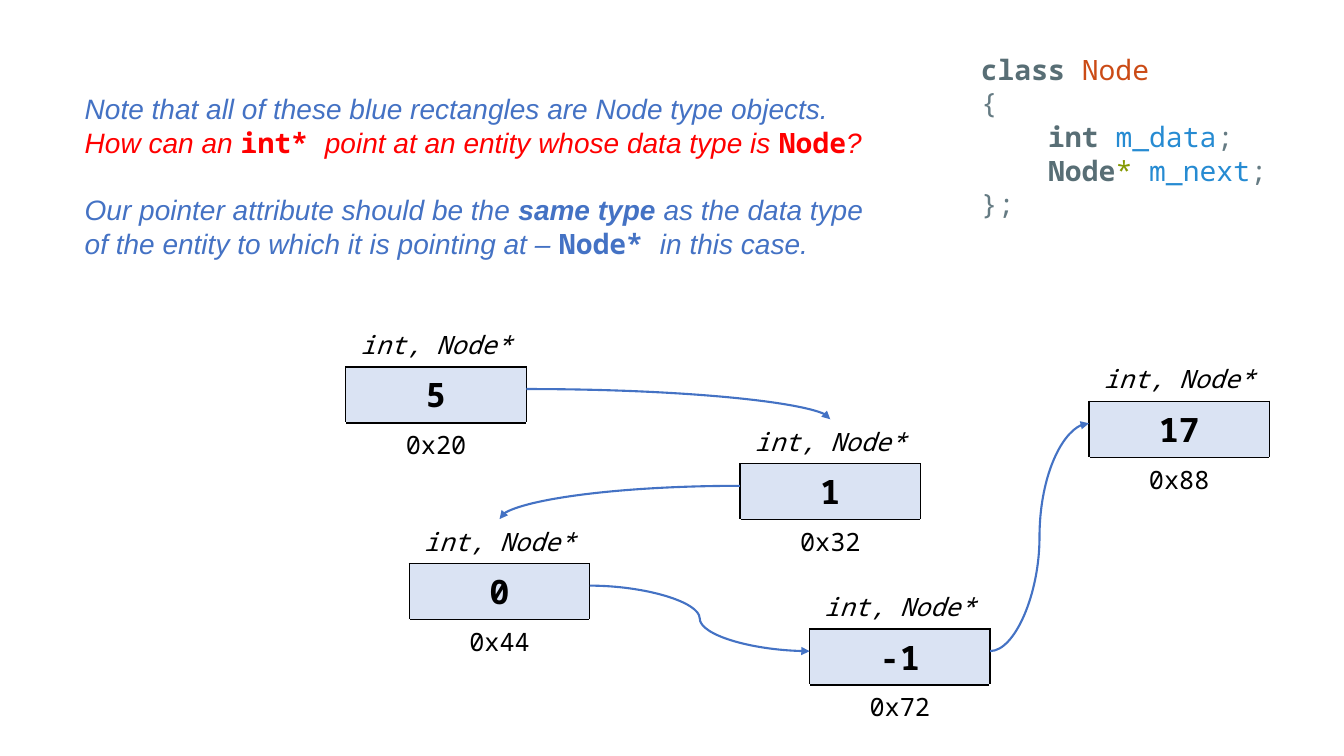
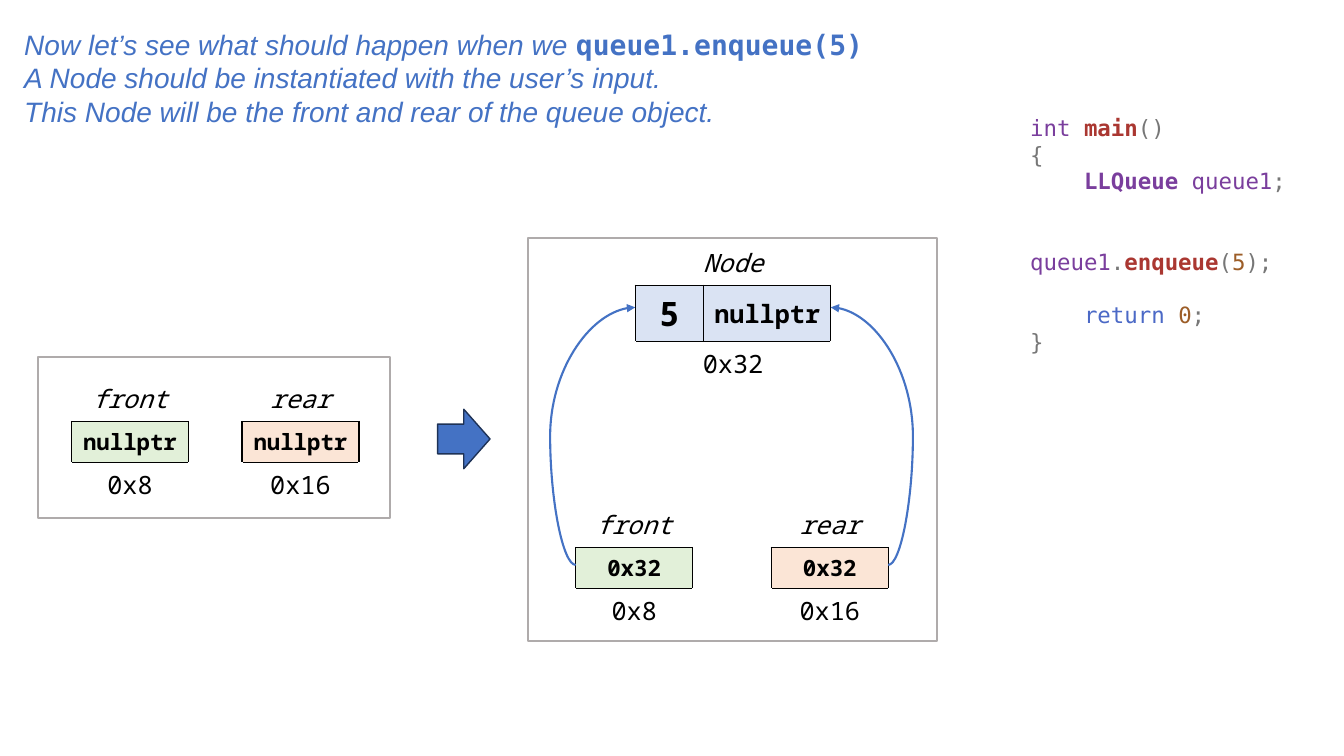
import pptx
import pptx.dml.color
import pptx.enum.shapes
import pptx.enum.text
import pptx.oxml
import pptx.oxml.ns
import pptx.util

inches = pptx.util.Inches
points = pptx.util.Pt
PRESET = pptx.enum.shapes.MSO_SHAPE
ALIGN = pptx.enum.text.PP_ALIGN
ANCHOR = pptx.enum.text.MSO_ANCHOR

BLUE, RED, BLACK = "4472C4", "FF0000", "000000"
NODE_FILL, FRONT_FILL, REAR_FILL = "DAE3F3", "E2F0D9", "FBE5D6"
FRAME, ARROW_EDGE = "AFABAB", "1E3256"
SANS, MONO, CODE = "Arial", "Noto Sans Mono", "DejaVu Sans Mono"

# Style: font, colour, bold, italic
STYLES = {
    "note": (SANS, BLUE, False, True),
    "strong": (SANS, BLUE, True, True),
    "term": (MONO, BLUE, True, False),
    "call": (CODE, BLUE, True, False),
    "question": (SANS, RED, False, True),
    "asked": (MONO, RED, True, False),
    "label": (MONO, BLACK, False, True),
    "value": (MONO, BLACK, True, False),
    "address": (MONO, BLACK, False, False),
    "keyword": (MONO, "586E75", True, False),
    "class": (MONO, "CB4B16", False, False),
    "mark": (MONO, "657B83", False, False),
    "member": (MONO, "268BD2", False, False),
    "star": (MONO, "859900", False, False),
    "name": (CODE, "7A3E9D", False, False),
    "type": (CODE, "7A3E9D", True, False),
    "function": (CODE, "AA3731", True, False),
    "sign": (CODE, "777777", False, False),
    "number": (CODE, "9C5D27", False, False),
    "control": (CODE, "4B69C6", False, False),
}

# Each paragraph: space before in points, then its (text, style) runs
POINTER_NOTE = [
    (0, [("Note that all of these blue rectangles are Node type objects.", "note")]),
    (0, [("How can an ", "question"), ("int* ", "asked"),
         ("point at an entity whose data type is ", "question"),
         ("Node", "asked"), ("?", "question")]),
    (24, [("Our pointer attribute should be the ", "note"), ("same type ", "strong"),
          ("as the data type of the entity to which it is pointing at – ", "note"),
          ("Node* ", "term"), ("in this case.", "note")]),
]
NODE_CLASS = [
    (0, [("class ", "keyword"), ("Node", "class")]),
    (0, [("{", "mark")]),
    (0, [("    int ", "keyword"), ("m_data", "member"), (";", "mark")]),
    (0, [("    Node", "keyword"), ("* ", "star"), ("m_next", "member"), (";", "mark")]),
    (0, [("};", "mark")]),
]
ENQUEUE_NOTE = [
    (0, [("Now let’s see what should happen when we ", "note"),
         ("queue1.enqueue(5)", "call")]),
    (0, [("A Node should be instantiated with the user’s input.", "note")]),
    (0, [("This Node will be the front and rear of the queue object.", "note")]),
]
MAIN_CODE = [
    (0, [("int ", "name"), ("main", "function"), ("()", "sign")]),
    (0, [("{", "sign")]),
    (0, [("    LLQueue ", "type"), ("queue1", "name"), (";", "sign")]),
    (38, [("queue1", "name"), (".", "sign"), ("enqueue", "function"), ("(", "sign"),
          ("5", "number"), (");", "sign")]),
    (19, [("    return ", "control"), ("0", "number"), (";", "sign")]),
    (0, [("}", "sign")]),
]

ROW, NODE_ROW = 0.41, 0.5
NODE_WIDTH, POINTER_WIDTH = 1.79, 1.16

# Address: value, left, top
NODES = {
    "0x20": ("5", 3.43, 3.2),
    "0x32": ("1", 7.34, 4.16),
    "0x44": ("0", 4.06, 5.15),
    "0x72": ("-1", 8.03, 5.8),
    "0x88": ("17", 10.8, 3.54),
}
# From address, side, to address, side
LINKS = [
    ("0x20", "right", "0x32", "top"),
    ("0x32", "left", "0x44", "top"),
    ("0x44", "right", "0x72", "left"),
    ("0x72", "right", "0x88", "left"),
]
FRAMES = [(0.38, 3.54, 3.49, 1.6), (5.24, 2.36, 4.05, 4)]
# Label, address, fill, value and place before, value and place after
POINTERS = [
    ("front", "0x8", FRONT_FILL, ("nullptr", 0.71, 3.74), ("0x32", 5.71, 4.99)),
    ("rear", "0x16", REAR_FILL, ("nullptr", 2.4, 3.74), ("0x32", 7.65, 4.99)),
]


def rgb(code):
    return pptx.dml.color.RGBColor.from_string(code)


def write(paragraph, runs, size):
    for text, style in runs:
        run = paragraph.add_run()
        run.text = text
        font = run.font
        font.name, colour, font.bold, font.italic = STYLES[style]
        font.color.rgb = rgb(colour)
        font.size = points(size)


def fill_text(shape, paragraphs, size):
    frame = shape.text_frame
    frame.word_wrap = True
    frame.auto_size = pptx.enum.text.MSO_AUTO_SIZE.NONE
    frame.vertical_anchor = ANCHOR.TOP
    for index, (before, runs) in enumerate(paragraphs):
        paragraph = frame.add_paragraph() if index else frame.paragraphs[0]
        paragraph.alignment = ALIGN.LEFT
        paragraph.space_before = points(before)
        write(paragraph, runs, size)


def add_slide(deck, note, note_box, code, code_box, code_size):
    slide = deck.slides.add_slide(deck.slide_layouts[5])
    title = slide.shapes.title
    title.left, title.top, title.width, title.height = map(inches, note_box)
    fill_text(title, note, 20)
    fill_text(slide.shapes.add_textbox(*map(inches, code_box)), code, code_size)
    return slide


def set_borders(cell, sides):
    properties = cell._tc.get_or_add_tcPr()
    for index, side in enumerate(sides):
        properties.insert(index, pptx.oxml.parse_xml(
            f'<a:ln{side} {pptx.oxml.ns.nsdecls("a")} w="12700"><a:solidFill>'
            f'<a:srgbClr val="{BLACK}"/></a:solidFill></a:ln{side}>'))


def add_record(slide, left, top, label, values, address, fill, widths,
               value_row=NODE_ROW, anchor=ANCHOR.TOP):
    """Add a label, a bordered row of (text, size) values and an address."""
    heights = [ROW, value_row, ROW]
    table = slide.shapes.add_table(
        3, len(widths), *map(inches, (left, top, sum(widths), sum(heights)))).table
    table.first_row = table.horz_banding = False
    for column, width in zip(table.columns, widths):
        column.width = inches(width)
    for row, height in zip(table.rows, heights):
        row.height = inches(height)
    last = len(widths) - 1
    for row, text, style, side in ((0, label, "label", "B"), (2, address, "address", "T")):
        if last:
            table.cell(row, 0).merge(table.cell(row, last))
        for column in range(last + 1):
            table.cell(row, column).fill.background()
            set_borders(table.cell(row, column), side)
        paragraph = table.cell(row, 0).text_frame.paragraphs[0]
        paragraph.alignment = ALIGN.CENTER
        write(paragraph, [(text, style)], 18)
    for column, (text, size) in enumerate(values):
        cell = table.cell(1, column)
        cell.fill.solid()
        cell.fill.fore_color.rgb = rgb(fill)
        cell.vertical_anchor = anchor
        set_borders(cell, "LRTB")
        paragraph = cell.text_frame.paragraphs[0]
        paragraph.alignment = ALIGN.CENTER
        write(paragraph, [(text, "value")], size)


def port(left, top, width, side, value_row=NODE_ROW):
    """Return the point where an arrow meets a record."""
    middle = top + ROW + value_row / 2
    return {"left": (left, middle), "right": (left + width, middle),
            "top": (left + width / 2, top)}[side]


def add_arrow(slide, start, end, single_bend=False, bend=None):
    arrow = slide.shapes.add_connector(
        pptx.enum.shapes.MSO_CONNECTOR.CURVE, *map(inches, start + end))
    arrow.line.color.rgb = rgb(BLUE)
    arrow.line.width = points(1.5)
    properties = arrow._element.spPr
    namespace = pptx.oxml.ns.nsdecls("a")
    arrow.line._get_or_add_ln().append(
        pptx.oxml.parse_xml(f'<a:tailEnd {namespace} type="triangle"/>'))
    properties.append(pptx.oxml.parse_xml(f"<a:effectLst {namespace}/>"))
    geometry = properties.find(pptx.oxml.ns.qn("a:prstGeom"))
    if single_bend:
        geometry.set("prst", "curvedConnector2")
    if bend is not None:
        geometry.find(pptx.oxml.ns.qn("a:avLst")).append(pptx.oxml.parse_xml(
            f'<a:gd {namespace} name="adj1" fmla="val {round(bend * 100000)}"/>'))


def add_block(slide, preset, box, line, width, fill=None):
    block = slide.shapes.add_shape(preset, *map(inches, box))
    block.shadow.inherit = False
    block.line.color.rgb = rgb(line)
    block.line.width = points(width)
    if fill:
        block.fill.solid()
        block.fill.fore_color.rgb = rgb(fill)
    else:
        block.fill.background()


def build_pointer_slide(deck):
    slide = add_slide(deck, POINTER_NOTE, (0.74, 0.86, 8.1, 1.78),
                      NODE_CLASS, (9.63, 0.47, 3.16, 1.78), 20)
    for address, (value, left, top) in NODES.items():
        add_record(slide, left, top, "int, Node*", [(value, 24)], address,
                   NODE_FILL, [NODE_WIDTH])
    for source, exit_side, target, entry_side in LINKS:
        add_arrow(slide, port(*NODES[source][1:], NODE_WIDTH, exit_side),
                  port(*NODES[target][1:], NODE_WIDTH, entry_side),
                  single_bend=entry_side == "top")


def build_enqueue_slide(deck):
    slide = add_slide(deck, ENQUEUE_NOTE, (0.14, 0.22, 13.06, 1.11),
                      MAIN_CODE, (10.12, 1.08, 3.07, 2.29), 16)
    for frame in FRAMES:
        add_block(slide, PRESET.RECTANGLE, frame, FRAME, 1.5)
    add_block(slide, PRESET.RIGHT_ARROW, (4.34, 4.06, 0.52, 0.59), ARROW_EDGE, 1, BLUE)

    node_left, node_top, node_widths = 6.3, 2.39, [0.68, 1.26]
    add_record(slide, node_left, node_top, "Node", [("5", 24), ("nullptr", 18)],
               "0x32", NODE_FILL, node_widths, anchor=ANCHOR.MIDDLE)
    for label, address, fill, *states in POINTERS:
        for value, left, top in states:
            add_record(slide, left, top, label, [(value, 16)], address, fill,
                       [POINTER_WIDTH], value_row=ROW)
        side = "left" if label == "front" else "right"
        add_arrow(slide, port(left, top, POINTER_WIDTH, side, ROW),
                  port(node_left, node_top, sum(node_widths), side), bend=-0.43)


def main():
    deck = pptx.Presentation()
    deck.slide_width, deck.slide_height = inches(13.33), inches(7.5)
    build_pointer_slide(deck)
    build_enqueue_slide(deck)
    deck.save("out.pptx")


if __name__ == "__main__":
    main()
